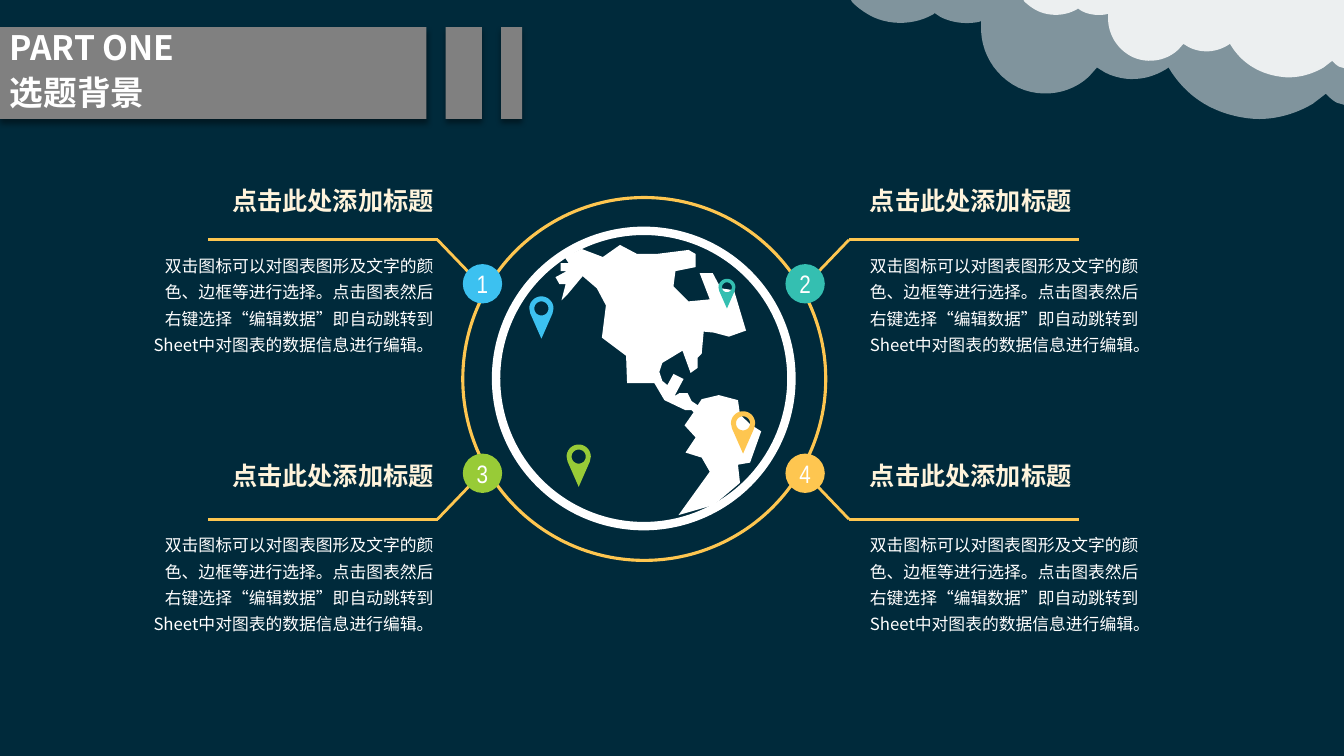
import dataclasses
import math

import lxml.etree
import pptx
import pptx.dml.color
import pptx.enum.shapes
import pptx.enum.text
import pptx.oxml.ns
import pptx.util

Inches, Pt = pptx.util.Inches, pptx.util.Pt
RGB = pptx.dml.color.RGBColor.from_string
qn = pptx.oxml.ns.qn
MSO_SHAPE = pptx.enum.shapes.MSO_SHAPE
ALIGN = pptx.enum.text.PP_ALIGN
MIDDLE = pptx.enum.text.MSO_ANCHOR.MIDDLE
TOP = pptx.enum.text.MSO_ANCHOR.TOP


@dataclasses.dataclass(frozen=True)
class Theme:
    night: str = "002A3B"
    banner: str = "808080"
    white: str = "FFFFFF"
    cream: str = "FFF4DC"
    blue: str = "3CC1F0"
    teal: str = "34BFB1"
    green: str = "98CB37"
    gold: str = "FEC650"
    cjk: str = "Noto Sans CJK SC"
    narrow: str = "Arial Narrow"
    heading: int = 24
    title: int = 18
    body: int = 12


theme = Theme()
HEADING = dict(name=theme.cjk, size=Pt(theme.heading), bold=True)
TITLE = dict(name=theme.cjk, size=Pt(theme.title), bold=True)
BODY = dict(name=theme.cjk, size=Pt(theme.body))
NUMBER = dict(name=theme.narrow, size=Pt(theme.title))

prs = pptx.Presentation()
prs.slide_width, prs.slide_height = Inches(13.33), Inches(7.5)
s = prs.slides.add_slide(prs.slide_layouts[6])
s.background.fill.solid()
s.background.fill.fore_color.rgb = RGB(theme.night)


def write(sp, text, font, color, anchor=TOP, **paragraph):
    tf = sp.text_frame
    tf.word_wrap, tf.vertical_anchor = True, anchor
    p = tf.paragraphs[0]
    for name, value in paragraph.items():
        setattr(p, name, value)
    r = p.add_run()
    r.text = text
    for name, value in font.items():
        setattr(r.font, name, value)
    r.font.color.rgb = RGB(color)
    ea = lxml.etree.SubElement(r.font._element, qn("a:ea"))
    ea.set("typeface", font["name"])
    return tf


def draw_outline(contours, color):
    """Fill closed contours given in inches; an inner contour is a hole."""
    loops = [[(Inches(x), Inches(y)) for x, y in c] for c in contours]
    builder = s.shapes.build_freeform(*loops[0][0], scale=1.0)
    for i, loop in enumerate(loops):
        if i:
            builder.move_to(*loop[0])
        builder.add_line_segments(loop[1:], close=True)
    sp = builder.convert_to_shape()
    sp.shadow.inherit = False
    sp.fill.solid()
    sp.fill.fore_color.rgb = RGB(color)
    sp.line.fill.background()
    return sp


# Banner bars with a soft shadow below
for left, width in [(0, 4.23), (4.42, 0.36), (4.97, 0.21)]:
    sp = s.shapes.add_shape(MSO_SHAPE.RECTANGLE, Inches(left), Inches(0.27), Inches(width), Inches(0.91))
    sp.fill.solid()
    sp.fill.fore_color.rgb = RGB(theme.banner)
    sp.line.fill.background()
    sp.shadow.inherit = False
    effects = sp._element.spPr.find(qn("a:effectLst"))
    shadow = lxml.etree.SubElement(effects, qn("a:outerShdw"), blurRad=str(Pt(4)), dist=str(Pt(3)),
                                   dir="5400000", algn="t", rotWithShape="0")
    black = lxml.etree.SubElement(shadow, qn("a:srgbClr"), val="000000")
    lxml.etree.SubElement(black, qn("a:alpha"), val="40000")

# Clouds: one outline of line points (2 numbers) and curves (6), at two scales
CLOUD = [
    (12.44, 1.18), (12.31, 1.17, 12.17, 1.14, 12.04, 1.08), (11.84, 0.99, 11.69, 0.84, 11.59, 0.67),
    (11.56, 0.69), (11.38, 0.8, 11.16, 0.82, 10.96, 0.72), (10.88, 0.67), (10.8, 0.76),
    (10.62, 0.93, 10.34, 0.98, 10.1, 0.87), (9.86, 0.75, 9.72, 0.51, 9.73, 0.25), (9.73, 0.21),
    (9.7, 0.22), (9.58, 0.24, 9.45, 0.23, 9.33, 0.17), (9.27, 0.13), (9.26, 0.14),
    (9.09, 0.24, 8.86, 0.26, 8.66, 0.17), (8.58, 0.13, 8.51, 0.08, 8.45, 0.02), (8.44, 0),
    (13.33, 0), (13.33, 1.04), (13.26, 1.02), (13.22, 1, 13.19, 0.97, 13.17, 0.95), (13.15, 0.93),
    (13.02, 1.03), (12.85, 1.13, 12.65, 1.19, 12.44, 1.18),
]
cloud = [CLOUD[0]]
for step in CLOUD[1:]:
    if len(step) == 2:
        cloud.append(step)
        continue
    start = cloud[-1]
    for t in (i / 12 for i in range(1, 13)):
        u = 1 - t
        cloud.append(tuple(u**3 * start[k] + 3 * u * u * t * step[k] + 3 * u * t * t * step[k + 2]
                           + t**3 * step[k + 4] for k in (0, 1)))
for scale, alpha in [(1, 50), (0.65, 85)]:
    sp = draw_outline([[(13.33 - (13.33 - x) * scale, y * scale) for x, y in cloud]], theme.white)
    color = sp._element.spPr.find(qn("a:solidFill"))[0]
    lxml.etree.SubElement(color, qn("a:alpha"), val=str(alpha * 1000))

for text, top in [("PART ONE", 0.27), ("选题背景", 0.72)]:
    sp = s.shapes.add_textbox(Inches(0), Inches(top), Inches(4.23), Inches(0.46))
    write(sp, text, HEADING, theme.white, MIDDLE, line_spacing=0.8, space_before=Pt(10))

# Globe: continents, then the rim and the outer orbit
AMERICAS = [
    (7.43, 4.2), (7.34, 4.11), (7.32, 3.97), (7.13, 3.92), (6.96, 3.96), (6.92, 4.02), (6.86, 3.98),
    (6.82, 3.9), (6.74, 3.9), (6.69, 3.93), (6.78, 3.76), (6.68, 3.71), (6.62, 3.82), (6.57, 3.78),
    (6.54, 3.69), (6.57, 3.6), (6.77, 3.48), (6.85, 3.7), (6.92, 3.65), (6.92, 3.55), (6.96, 3.51),
    (6.98, 3.29), (7.08, 3.3), (7.23, 3.34), (7.4, 3.28), (7.28, 2.88), (7.15, 2.86), (7.07, 2.71),
    (6.94, 2.71), (7.04, 2.97), (6.83, 2.99), (6.68, 2.84), (6.7, 2.69), (6.9, 2.65), (6.9, 2.52),
    (6.83, 2.48), (6.51, 2.52), (6.32, 2.52), (6.15, 2.43), (5.98, 2.55), (5.77, 2.47), (5.6, 2.55),
    (5.64, 2.61), (5.56, 2.61), (5.56, 2.69), (5.62, 2.69), (5.51, 2.75), (5.55, 2.82), (5.61, 2.82),
    (5.57, 2.98), (5.63, 2.92), (5.78, 2.74), (5.92, 2.86), (6.01, 3.03), (5.97, 3.35), (6.21, 3.53),
    (6.22, 3.8), (6.49, 3.8), (6.59, 3.97), (6.8, 4.07), (6.86, 4.07), (6.88, 4.09), (6.79, 4.22),
    (6.9, 4.34), (6.8, 4.49), (6.96, 4.54), (7.04, 4.68), (6.73, 5.11), (7.08, 5.01), (7.34, 4.79),
    (7.32, 4.61), (7.44, 4.59), (7.55, 4.28),
]
draw_outline([AMERICAS], theme.white)
for left, top, size, color, weight in [(4.92, 2.29, 2.93, theme.white, 6), (4.59, 1.96, 3.6, theme.gold, 2.25)]:
    sp = s.shapes.add_shape(MSO_SHAPE.OVAL, Inches(left), Inches(top), Inches(size), Inches(size))
    sp.shadow.inherit = False
    sp.fill.background()
    sp.line.color.rgb = RGB(color)
    sp.line.width = Pt(weight)

# Four callouts, mirrored about the globe's vertical axis
AXIS = 6.38
DETAIL = ("双击图标可以对图表图形及文字的颜色、边框等进行选择。点击图表然后右键选择“编辑数据”"
          "即自动跳转到Sheet中对图表的数据信息进行编辑。")
LEFT = dict(side=-1, badge=4.59, title=(1.9, 2.5), body=(1.39, 3.01), align=ALIGN.RIGHT)
RIGHT = dict(side=1, badge=7.79, title=(8.53, 2.96), body=(8.53, 2.96), align=ALIGN.LEFT)
UPPER = dict(joint=2.87, rule=2.38, badge=2.62, title=1.79, body=2.43)
LOWER = dict(joint=4.66, rule=5.15, badge=4.5, title=4.52, body=5.2)
callouts = [("1", LEFT, UPPER, theme.blue), ("2", RIGHT, UPPER, theme.teal),
            ("3", LEFT, LOWER, theme.green), ("4", RIGHT, LOWER, theme.gold)]
for number, col, row, color in callouts:
    joint, elbow, end = [AXIS + col["side"] * d for d in (1.57, 2.04, 4.32)]
    for x1, y1, x2 in [(joint, row["joint"], elbow), (elbow, row["rule"], end)]:
        line = s.shapes.add_connector(pptx.enum.shapes.MSO_CONNECTOR.STRAIGHT,
                                      Inches(x1), Inches(y1), Inches(x2), Inches(row["rule"]))
        line.line.color.rgb = RGB(theme.gold)
        line.line.width = Pt(2)
        lxml.etree.SubElement(line._element.spPr, qn("a:effectLst"))

    sp = s.shapes.add_shape(MSO_SHAPE.OVAL, Inches(col["badge"]), Inches(row["badge"]), Inches(0.39), Inches(0.39))
    sp.shadow.inherit = False
    sp.fill.solid()
    sp.fill.fore_color.rgb = RGB(color)
    sp.line.fill.background()
    tf = write(sp, number, NUMBER, theme.white, MIDDLE, alignment=ALIGN.CENTER)
    tf.margin_left = tf.margin_right = tf.margin_top = tf.margin_bottom = 0

    for part, height, text, font, ink, spacing in [("title", 0.4, "点击此处添加标题", TITLE, theme.cream, 1.0),
                                                   ("body", 1.15, DETAIL, BODY, theme.white, 1.3)]:
        left, width = col[part]
        sp = s.shapes.add_textbox(Inches(left), Inches(row[part]), Inches(width), Inches(height))
        tf = write(sp, text, font, ink, alignment=col["align"], line_spacing=spacing)
        tf.auto_size = pptx.enum.text.MSO_AUTO_SIZE.SHAPE_TO_FIT_TEXT

# Map pins: a round head with a hole, tapering to a tip
arc = [math.radians(a) for a in range(180, 361, 10)]
head = [(0.12 * math.cos(a), 0.12 * math.sin(a)) for a in arc]
hole = [(0.07 * math.cos(a), 0.07 * math.sin(a)) for a in (math.radians(d) for d in range(0, 360, 10))]
pin = [head + [(0.11, 0.05), (0, 0.3), (-0.11, 0.05)], hole]
for cx, cy, scale, color in [(5.37, 3.06, 1, theme.blue), (7.21, 2.85, 0.7, theme.teal),
                             (7.37, 4.2, 1, theme.gold), (5.74, 4.53, 1, theme.green)]:
    draw_outline([[(cx + x * scale, cy + y * scale) for x, y in contour] for contour in pin], color)

prs.save("out.pptx")
